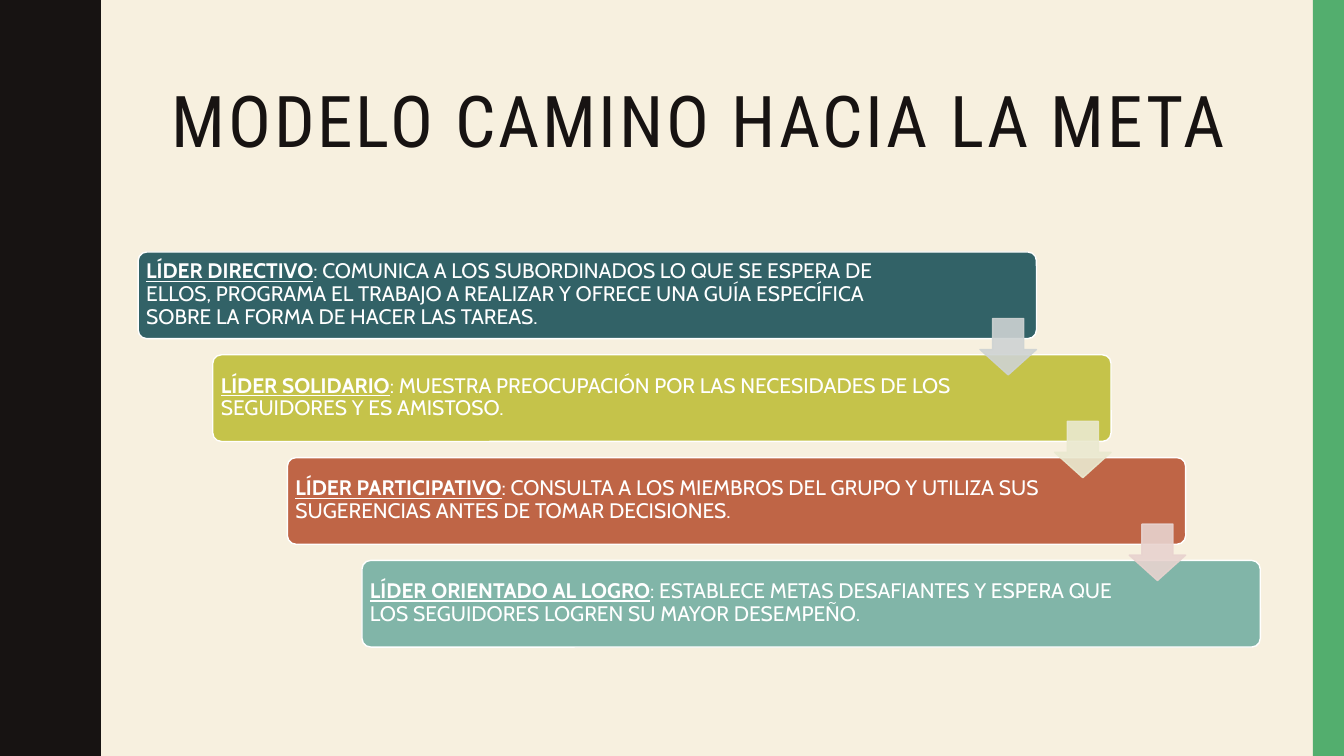
"""Build the slide on the path-goal leadership model."""
from dataclasses import dataclass

from lxml.etree import SubElement
from pptx import Presentation
from pptx.dml.color import RGBColor
from pptx.enum.shapes import MSO_SHAPE
from pptx.enum.text import MSO_ANCHOR, MSO_AUTO_SIZE, PP_ALIGN
from pptx.oxml.ns import qn
from pptx.util import Inches, Pt

TITLE = "MODELO CAMINO HACIA LA META"
LEADERS = [
    ("LÍDER DIRECTIVO",
     ": COMUNICA A LOS SUBORDINADOS LO QUE SE ESPERA DE ELLOS, PROGRAMA EL "
     "TRABAJO A REALIZAR Y OFRECE UNA GUÍA ESPECÍFICA SOBRE LA FORMA DE HACER "
     "LAS TAREAS.", 7.9),
    ("LÍDER SOLIDARIO",
     ": MUESTRA PREOCUPACIÓN POR LAS NECESIDADES DE LOS SEGUIDORES Y ES "
     "AMISTOSO.", 7.55),
    ("LÍDER PARTICIPATIVO",
     ": CONSULTA A LOS MIEMBROS DEL GRUPO Y UTILIZA SUS SUGERENCIAS ANTES DE "
     "TOMAR DECISIONES.", 7.55),
    ("LÍDER ORIENTADO AL LOGRO",
     ": ESTABLECE METAS DESAFIANTES Y ESPERA QUE LOS SEGUIDORES LOGREN SU "
     "MAYOR DESEMPEÑO.", 7.55),
]


@dataclass(frozen=True)
class Theme:
    paper: str = "F7F0DF"
    ink: str = "171312"
    edge: str = "53AE6E"
    white: str = "FFFFFF"
    cards: tuple = ("326267", "C5C34A", "BF6546", "81B5A8")
    arrows: tuple = ("CED3D3", "EAE9D0", "E8D3CF")
    title_font: str = "Roboto Condensed"
    body_font: str = "Cabin"
    title_size: int = 51
    body_size: int = 15


T = Theme()
SLIDE_W, SLIDE_H = 13.33, 7.5
EDGE_W = 0.31
LEFT, TOP = 1.37, 2.5
CARD_W, CARD_H = 8.91, 0.86
STEP_X, STEP_Y = 0.74, 1.02
TEXT_PAD, TEXT_H, INSET = 0.02, 0.81, 0.06
ARROW, ARROW_DROP = 0.56, 0.66
WAVE_PERIOD = 1.5
WAVE_X = (0.78, 0.78, 0.79, 0.8, 0.81, 0.83, 0.85, 0.87,
          0.89, 0.91, 0.93, 0.95, 0.96, 0.97, 0.97)
WAVE_Y = (0, 0.07, 0.14, 0.2, 0.25, 0.29, 0.33, 0.38,
          0.42, 0.46, 0.5, 0.55, 0.61, 0.68, 0.75)


def rgb(color):
    return RGBColor.from_string(color)


def paint(sp, fill, line=None):
    sp.shadow.inherit = False
    sp.fill.solid()
    sp.fill.fore_color.rgb = rgb(fill)
    if line:
        sp.line.color.rgb = rgb(line)
        sp.line.width = Pt(1)
    else:
        sp.line.fill.background()


def add_preset(s, kind, left, top, width, height, fill, line=None, adj=()):
    sp = s.shapes.add_shape(kind, Inches(left), Inches(top),
                            Inches(width), Inches(height))
    for i, value in enumerate(adj):
        sp.adjustments[i] = value
    paint(sp, fill, line)
    return sp


def add_run(p, text, font, size, color, strong=None):
    r = p.add_run()
    r.text = text
    r.font.name = font
    r.font.size = Pt(size)
    r.font.color.rgb = rgb(color)
    r.font.bold = strong
    r.font.underline = strong
    return r


def add_wave(s):
    down = list(zip(WAVE_X, WAVE_Y))
    up = [(x, WAVE_PERIOD - y) for x, y in reversed(down[:-1])]
    edge = [(x, y + n * WAVE_PERIOD)
            for n in range(round(SLIDE_H / WAVE_PERIOD)) for x, y in down + up]
    fb = s.shapes.build_freeform(0, 0, scale=Inches(1))
    fb.add_line_segments(edge + [(0, SLIDE_H)], close=True)
    paint(fb.convert_to_shape(), T.ink)


def add_title(s):
    sp = s.shapes.title
    sp.left, sp.top = Inches(LEFT), Inches(0.42)
    sp.width, sp.height = Inches(11.13), Inches(1.63)
    tf = sp.text_frame
    tf.vertical_anchor = MSO_ANCHOR.MIDDLE
    tf.auto_size = MSO_AUTO_SIZE.NONE
    p = tf.paragraphs[0]
    p.alignment = PP_ALIGN.CENTER
    p.line_spacing = 0.9
    r = add_run(p, TITLE, T.title_font, T.title_size, T.ink)
    r.font._element.set("spc", "200")


def add_card(s, left, top, fill, name, detail, text_w):
    add_preset(s, MSO_SHAPE.ROUNDED_RECTANGLE, left, top, CARD_W, CARD_H,
               fill, T.white, (0.1,))
    sp = s.shapes.add_textbox(Inches(left + TEXT_PAD), Inches(top + TEXT_PAD),
                              Inches(text_w), Inches(TEXT_H))
    tf = sp.text_frame
    tf.word_wrap = True
    tf.vertical_anchor = MSO_ANCHOR.MIDDLE
    tf.margin_left = tf.margin_right = Inches(INSET)
    tf.margin_top = tf.margin_bottom = Inches(INSET)
    p = tf.paragraphs[0]
    p.line_spacing = 0.9
    add_run(p, name, T.body_font, T.body_size, T.white, True)
    add_run(p, detail, T.body_font, T.body_size, T.white, False)


def add_arrow(s, left, top, color):
    sp = add_preset(s, MSO_SHAPE.DOWN_ARROW, left, top, ARROW, ARROW,
                    color, color, (0.55, 0.45))
    for clr in sp._element.spPr.iter(qn("a:srgbClr")):
        SubElement(clr, qn("a:alpha")).set("val", "90000")


def main():
    prs = Presentation()
    prs.slide_width, prs.slide_height = Inches(SLIDE_W), Inches(SLIDE_H)
    s = prs.slides.add_slide(prs.slide_layouts.get_by_name("Title Only"))
    s.background.fill.solid()
    s.background.fill.fore_color.rgb = rgb(T.paper)
    add_wave(s)
    add_preset(s, MSO_SHAPE.RECTANGLE, SLIDE_W - EDGE_W, 0, EDGE_W, SLIDE_H, T.edge)
    add_title(s)
    places = [(LEFT + i * STEP_X, TOP + i * STEP_Y) for i in range(len(LEADERS))]
    for (left, top), fill, leader in zip(places, T.cards, LEADERS):
        add_card(s, left, top, fill, *leader)
    for (left, top), color in zip(places, T.arrows):
        add_arrow(s, left + CARD_W - ARROW, top + ARROW_DROP, color)
    prs.save("out.pptx")


if __name__ == "__main__":
    main()
